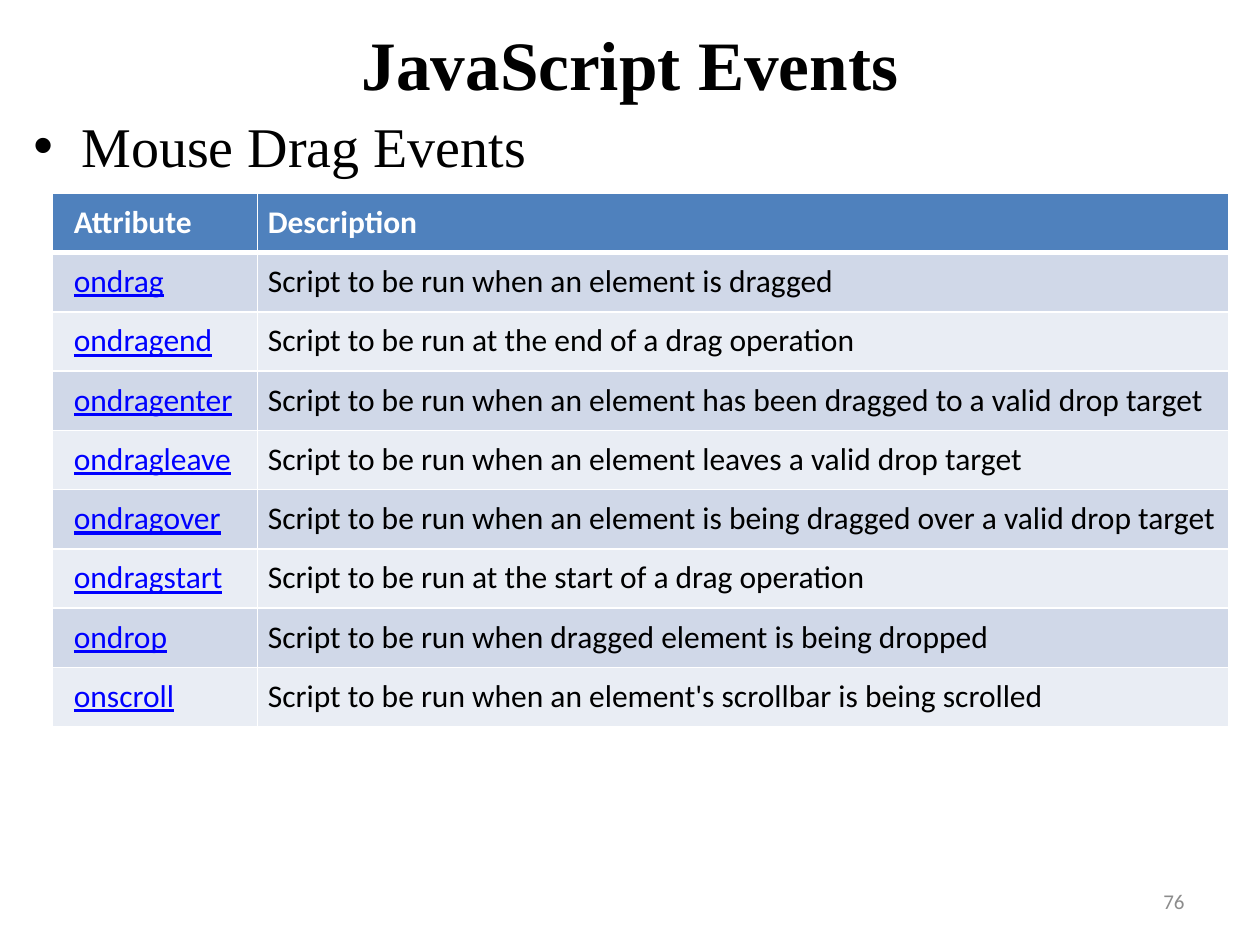
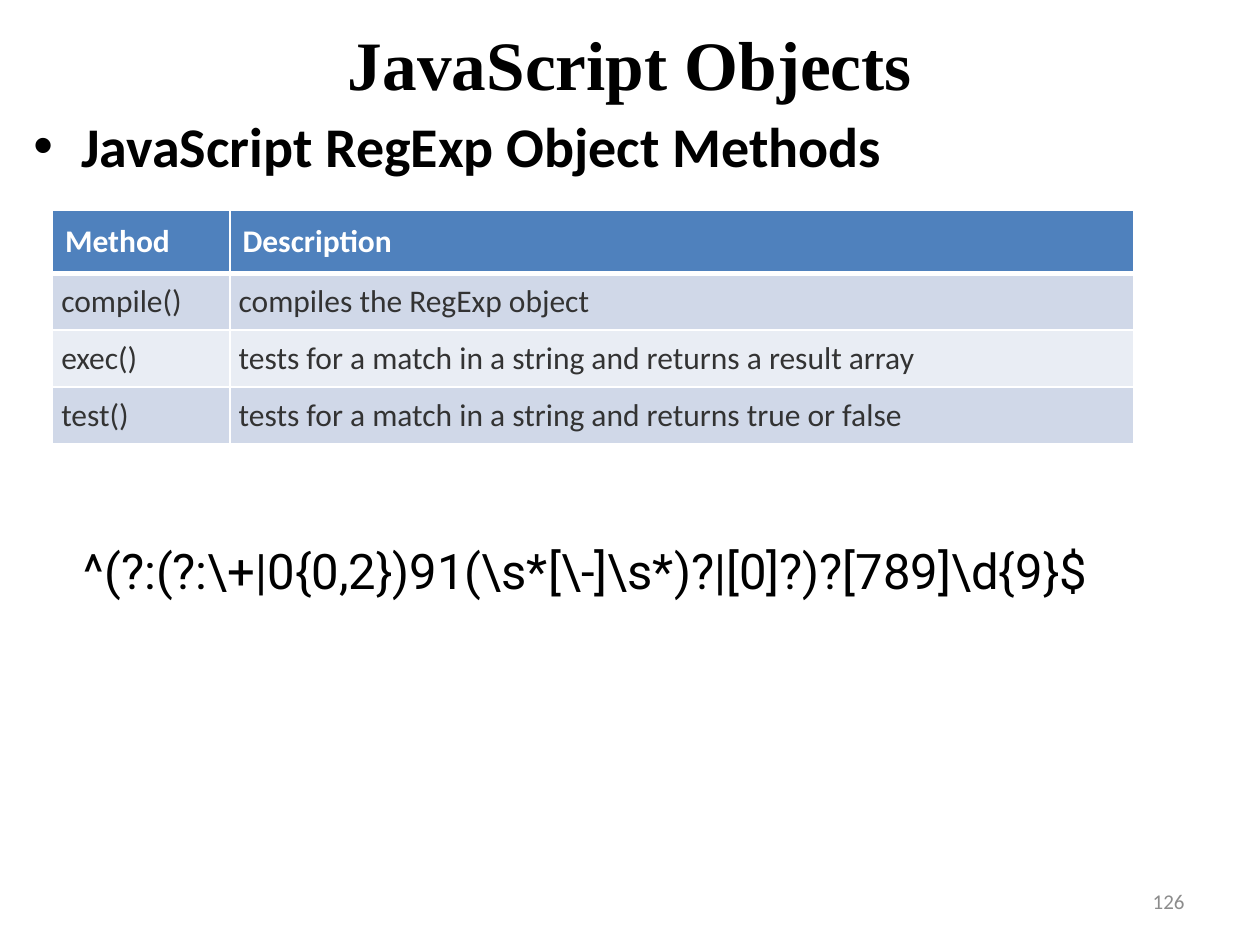
from dataclasses import dataclass

from lxml.etree import SubElement
from pptx import Presentation
from pptx.dml.color import RGBColor
from pptx.enum.text import MSO_ANCHOR as Anchor, MSO_AUTO_SIZE as AutoSize, PP_ALIGN as Align
from pptx.oxml import parse_xml
from pptx.oxml.ns import nsdecls, qn
from pptx.slide import Slide
from pptx.util import Emu, Inches, Pt

# Shared look
BLACK = RGBColor(0x00, 0x00, 0x00)
WHITE = RGBColor(0xFF, 0xFF, 0xFF)
NUMBER_GREY = RGBColor(0x8C, 0x8C, 0x8C)
METHOD_GREY = RGBColor(0x33, 0x33, 0x33)
LINK_BLUE = RGBColor(0x00, 0x00, 0xFF)
HEADER_BLUE = RGBColor(0x4F, 0x81, 0xBD)
BANDS = (RGBColor(0xE9, 0xED, 0xF4), RGBColor(0xD0, 0xD8, 0xE8))
SERIF, SANS, MONO_LIKE = "Times New Roman", "Calibri", "Roboto"
PLAIN_TABLE_STYLE = "{2D5ABB26-0587-4C30-8999-92F81FD0307C}"

# The slide is a grid of 120 columns by 90 rows
SLIDE_WIDTH, SLIDE_HEIGHT = Inches(10), Inches(7.5)
COLUMNS, ROWS = 120, 90


@dataclass(frozen=True)
class Area:
    column: float
    row: float
    columns: float
    rows: float

    def lengths(self) -> tuple[Emu, Emu, Emu, Emu]:
        return (across(self.column), down(self.row),
                across(self.columns), down(self.rows))


@dataclass(frozen=True)
class Style:
    font: str
    size: float
    color: RGBColor = BLACK
    bold: bool = False
    underline: bool = False


@dataclass(frozen=True)
class Reference:
    """A two-column table with a header; lengths are in grid units."""
    column: float
    row: float
    widths: tuple[float, float]
    header_height: float
    row_height: float
    header_insets: tuple[float, float]  # left of first column, other sides (inches)
    body_insets: tuple[float, float]
    anchor: Anchor
    key_style: Style
    text_style: Style
    entries: list[tuple[str, str]]


TITLE = Area(3, 2, 114, 8)
BODY = Area(2, 10, 116, 77)
NUMBER = Area(86, 83.4, 28, 4.8)
PATTERN = Area(8, 51.5, 97.2, 5.6)

TITLE_STYLE = Style(SERIF, 39.6, bold=True)
NUMBER_STYLE = Style(SANS, 12, NUMBER_GREY)
HEADER_STYLE = Style(SANS, 18, WHITE, bold=True)
CELL_STYLE = Style(SANS, 18)
LINK_STYLE = Style(SANS, 18, LINK_BLUE, underline=True)
METHOD_STYLE = Style(SANS, 18, METHOD_GREY)

DRAG_EVENTS = Reference(
    5, 18.4, (19.55, 92.45), 5.65, 5.65, (0.17, 0.08), (0.17, 0.08),
    Anchor.TOP, LINK_STYLE, CELL_STYLE,
    [
        ("Attribute", "Description"),
        ("ondrag", "Script to be run when an element is dragged"),
        ("ondragend", "Script to be run at the end of a drag operation"),
        ("ondragenter", "Script to be run when an element has been dragged to a valid drop target"),
        ("ondragleave", "Script to be run when an element leaves a valid drop target"),
        ("ondragover", "Script to be run when an element is being dragged over a valid drop target"),
        ("ondragstart", "Script to be run at the start of a drag operation"),
        ("ondrop", "Script to be run when dragged element is being dropped"),
        ("onscroll", "Script to be run when an element's scrollbar is being scrolled"),
    ])

REGEXP_METHODS = Reference(
    5, 20, (16.9, 86.1), 6.05, 5.4, (0.1, 0.1), (0.07, 0.07),
    Anchor.MIDDLE, METHOD_STYLE, METHOD_STYLE,
    [
        ("Method", "Description"),
        ("compile()", "compiles the RegExp object"),
        ("exec()", "tests for a match in a string and returns a result array"),
        ("test()", "tests for a match in a string and returns true or false"),
    ])

PHONE_PATTERN = r"^(?:(?:\+|0{0,2})91(\s*[\-]\s*)?|[0]?)?[789]\d{9}$"


def across(columns: float) -> Emu:
    return Emu(round(SLIDE_WIDTH * columns / COLUMNS))


def down(rows: float) -> Emu:
    return Emu(round(SLIDE_HEIGHT * rows / ROWS))


def apply_style(paragraph, style: Style) -> None:
    font = paragraph.font
    font.name, font.size = style.font, Pt(style.size)
    font.bold, font.underline = style.bold, style.underline
    font.color.rgb = style.color


def add_text(slide: Slide, area: Area, text: str, style: Style,
             align: Align = Align.LEFT, anchor: Anchor = Anchor.MIDDLE,
             bullet: bool = False):
    frame = slide.shapes.add_textbox(*area.lengths()).text_frame
    frame.word_wrap = True
    frame.vertical_anchor = anchor
    paragraph = frame.paragraphs[0]
    paragraph.text = text
    paragraph.alignment = align
    if bullet:
        properties = paragraph._p.get_or_add_pPr()
        hang = Inches(0.38)
        properties.set("marL", str(hang))
        properties.set("indent", str(-hang))
        SubElement(properties, qn("a:buFont"), typeface="Arial")
        SubElement(properties, qn("a:buChar"), char="•")
    apply_style(paragraph, style)
    return frame


def set_borders(cell, top: float, bottom: float) -> None:
    properties = cell._tc.get_or_add_tcPr()
    sides = {"lnL": 1, "lnR": 1, "lnT": top, "lnB": bottom}
    for position, (side, width) in enumerate(sides.items()):
        properties.insert(position, parse_xml(
            f'<a:{side} {nsdecls("a")} w="{Pt(width)}"><a:solidFill>'
            f'<a:srgbClr val="{WHITE}"/></a:solidFill></a:{side}>'))


def add_reference(slide: Slide, reference: Reference) -> None:
    entries = reference.entries
    height = reference.header_height + reference.row_height * (len(entries) - 1)
    area = Area(reference.column, reference.row, sum(reference.widths), height)
    table = slide.shapes.add_table(len(entries), 2, *area.lengths()).table
    table._tbl.tblPr.find(qn("a:tableStyleId")).text = PLAIN_TABLE_STYLE
    for column, width in zip(table.columns, reference.widths):
        column.width = across(width)

    for row, entry in enumerate(entries):
        is_header = row == 0
        table.rows[row].height = down(
            reference.header_height if is_header else reference.row_height)
        first_left, inset = reference.header_insets if is_header else reference.body_insets
        for column, text in enumerate(entry):
            cell = table.cell(row, column)
            cell.margin_left = Inches(inset if column else first_left)
            cell.margin_right = cell.margin_top = cell.margin_bottom = Inches(inset)
            cell.vertical_anchor = reference.anchor
            cell.fill.solid()
            cell.fill.fore_color.rgb = HEADER_BLUE if is_header else BANDS[row % 2]
            set_borders(cell, top=3 if row == 1 else 1, bottom=3 if is_header else 1)
            paragraph = cell.text_frame.paragraphs[0]
            paragraph.text = text
            body_style = reference.text_style if column else reference.key_style
            apply_style(paragraph, HEADER_STYLE if is_header else body_style)


def add_topic(deck, title: str, topic: str, topic_style: Style, align: Align,
              number: int, reference: Reference) -> Slide:
    slide = deck.slides.add_slide(deck.slide_layouts[6])
    add_text(slide, TITLE, title, TITLE_STYLE, Align.CENTER)
    add_text(slide, BODY, topic, topic_style, align, Anchor.TOP, bullet=True)
    add_text(slide, NUMBER, str(number), NUMBER_STYLE, Align.RIGHT)
    add_reference(slide, reference)
    return slide


def main() -> None:
    deck = Presentation()
    deck.slide_width, deck.slide_height = SLIDE_WIDTH, SLIDE_HEIGHT

    # Mouse drag events
    add_topic(deck, "JavaScript Events", "Mouse Drag Events",
              Style(SERIF, 32), Align.LEFT, 76, DRAG_EVENTS)

    # RegExp methods, with a sample pattern below the table
    methods = add_topic(deck, "JavaScript Objects", "JavaScript RegExp Object Methods",
                        Style(SANS, 32, bold=True), Align.JUSTIFY, 126, REGEXP_METHODS)
    pattern = add_text(methods, PATTERN, PHONE_PATTERN, Style(MONO_LIKE, 28))
    pattern.margin_left = pattern.margin_right = 0
    pattern.margin_top = pattern.margin_bottom = 0
    pattern.word_wrap = False
    pattern.auto_size = AutoSize.SHAPE_TO_FIT_TEXT

    deck.save("out.pptx")


if __name__ == "__main__":
    main()
